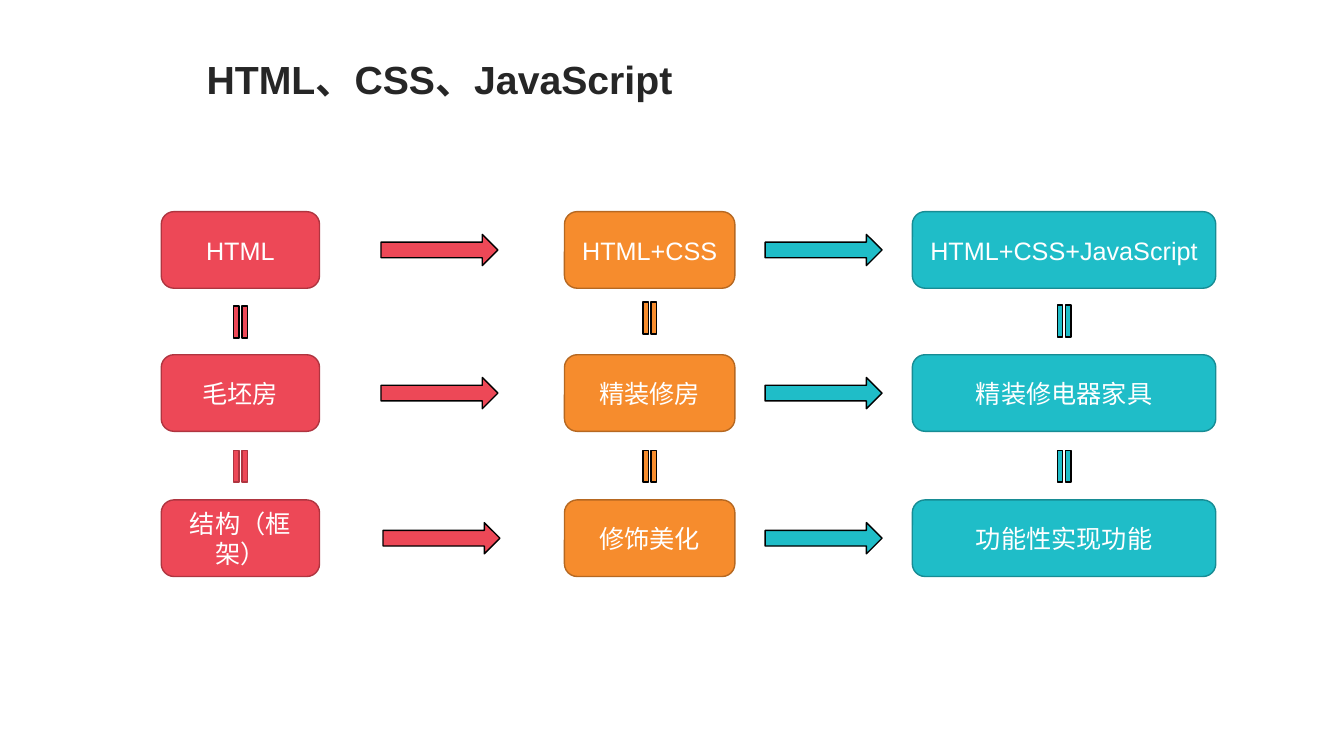
import pptx
import pptx.util
import pptx.dml.color
import pptx.enum.shapes
import pptx.enum.text

SHAPES = pptx.enum.shapes.MSO_SHAPE
ALIGN = pptx.enum.text.PP_ALIGN
ANCHOR = pptx.enum.text.MSO_ANCHOR

COLOURS = {
    "red": "ED4857", "red edge": "AF3540",
    "orange": "F68C2D", "orange edge": "B66821",
    "teal": "1FBDC8", "teal edge": "178C94",
    "title": "262626", "black": "000000", "white": "FFFFFF",
}


def colour(name):
    return pptx.dml.color.RGBColor.from_string(COLOURS[name])


def write(box, text, size=18, ink="white", bold=False, align=ALIGN.CENTER, anchor=ANCHOR.MIDDLE):
    frame = box.text_frame
    frame.word_wrap = True
    frame.auto_size = pptx.enum.text.MSO_AUTO_SIZE.NONE
    frame.vertical_anchor = anchor
    para = frame.paragraphs[0]
    para.alignment = align
    para.line_spacing = 1.0
    span = para.add_run()
    span.text = text
    span.font.name = "Arial"
    span.font.size = pptx.util.Pt(size)
    span.font.bold = bold
    span.font.color.rgb = colour(ink)


class StageSlide:
    def __init__(self, deck):
        self.width, self.height = deck.slide_width, deck.slide_height
        self.page = deck.slides.add_slide(deck.slide_layouts[5])

    def place(self, left, top, width, height):
        return (round(self.width * left / 100), round(self.height * top / 100),
                round(self.width * width / 100), round(self.height * height / 100))

    def title(self, text, *area):
        box = self.page.shapes.title
        box.left, box.top, box.width, box.height = self.place(*area)
        write(box, text, size=28, ink="title", bold=True, align=ALIGN.LEFT, anchor=ANCHOR.TOP)

    def shape(self, kind, area, fill, line):
        box = self.page.shapes.add_shape(kind, *self.place(*area))
        box.shadow.inherit = False
        box.fill.solid()
        box.fill.fore_color.rgb = colour(fill)
        box.line.color.rgb = colour(line)
        box.line.width = pptx.util.Pt(1)
        return box

    def card(self, text, area, hue):
        write(self.shape(SHAPES.ROUNDED_RECTANGLE, area, hue, hue + " edge"), text)

    def arrow(self, left, middle, hue):
        width, height = 8.7, 4.13
        self.shape(SHAPES.RIGHT_ARROW, (left, middle - height / 2, width, height), hue, "black")

    def equals(self, centre, middle, hue, line):
        width, height = 3.23, 3.07
        area = (centre - width / 2, middle - height / 2, width, height)
        self.shape(SHAPES.MATH_EQUAL, area, hue, line).rotation = 90


CARD_HEIGHT = 10.13
ROW_TOPS = (28, 46.93, 66.13)
STAGES = (
    ("red", 12, 11.78, 42.6, "red edge", ("HTML", "毛坯房", "结构（框架）")),
    ("orange", 42, 12.68, 42.07, "black", ("HTML+CSS", "精装修房", "修饰美化")),
    ("teal", 67.88, 22.58, 42.47, "black", ("HTML+CSS+JavaScript", "精装修电器家具", "功能性实现功能")),
)
ARROWS = (("red", (28.35, 28.35, 28.5)), ("teal", (56.93, 56.93, 56.93)))


def main():
    deck = pptx.Presentation()
    deck.slide_width = pptx.util.Inches(13.33)
    deck.slide_height = pptx.util.Inches(7.5)
    slide = StageSlide(deck)
    slide.title("HTML、CSS、JavaScript", 14.63, 6.67, 36.6, 7.6)

    for hue, left, width, upper, lower_line, labels in STAGES:
        for label, top in zip(labels, ROW_TOPS):
            slide.card(label, (left, top, width, CARD_HEIGHT), hue)
        centre = left + width / 2
        slide.equals(centre, upper, hue, "black")
        slide.equals(centre, 61.67, hue, lower_line)

    for hue, lefts in ARROWS:
        for left, top in zip(lefts, ROW_TOPS):
            slide.arrow(left, top + CARD_HEIGHT / 2, hue)

    deck.save("out.pptx")


if __name__ == "__main__":
    main()
